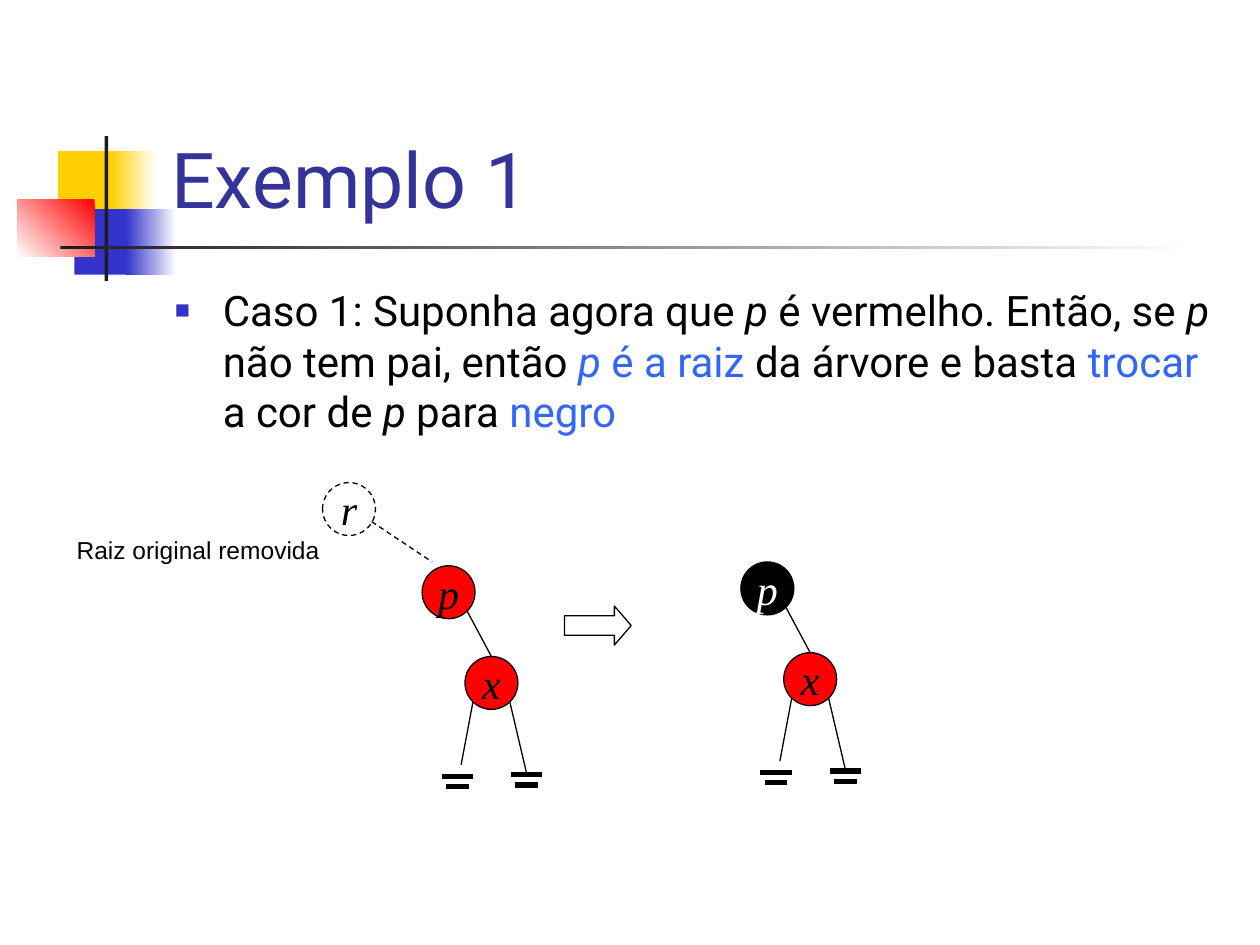
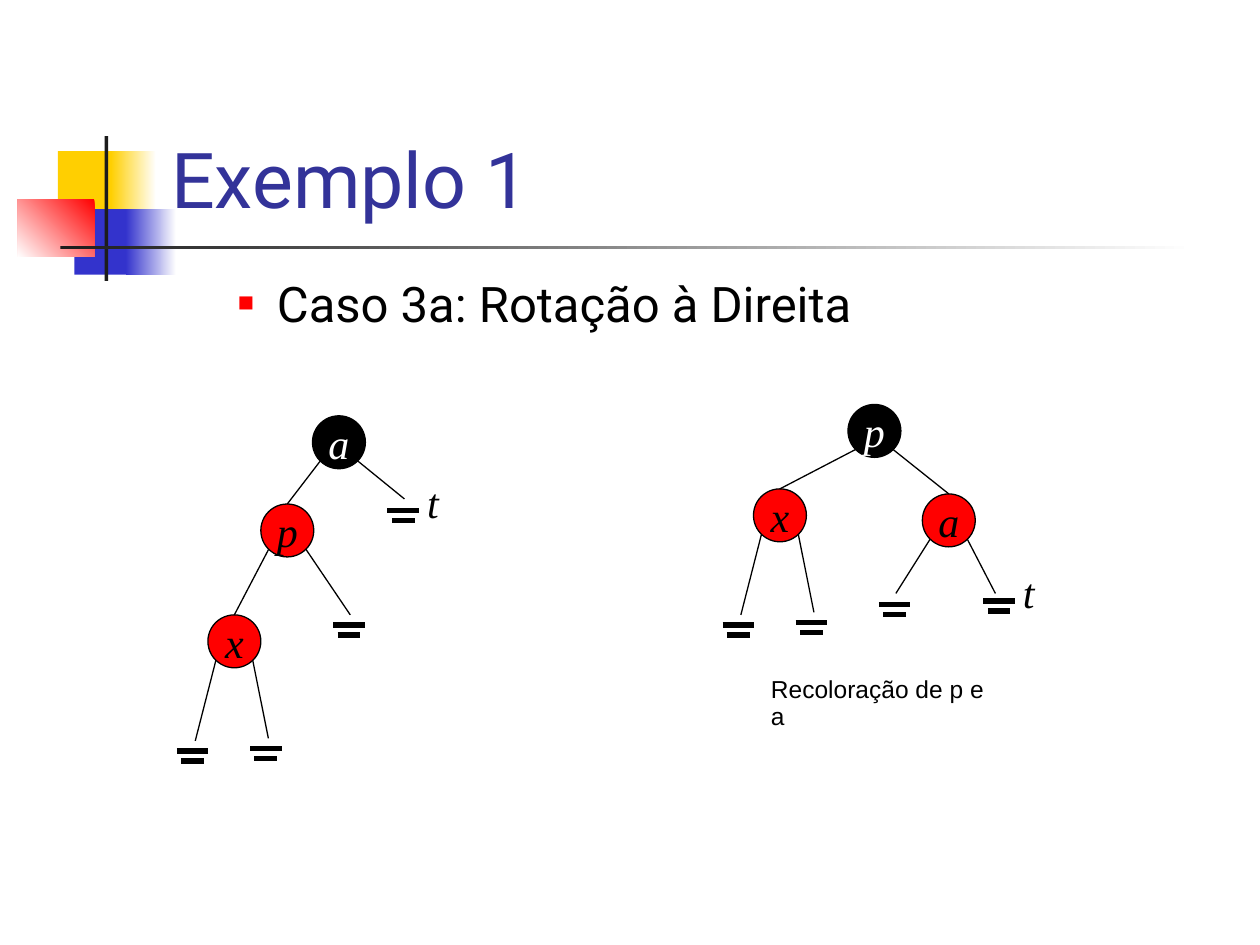
from dataclasses import dataclass

from lxml import etree
from pptx import Presentation
from pptx.dml.color import RGBColor
from pptx.enum.dml import MSO_LINE
from pptx.enum.shapes import MSO_CONNECTOR, MSO_SHAPE
from pptx.enum.text import MSO_ANCHOR as ANCHOR, PP_ALIGN as ALIGN
from pptx.oxml.ns import qn
from pptx.util import Inches, Pt

COLORS = {
    "black": "000000", "white": "FFFFFF", "ink": "1C1C1C", "yellow": "FFCF01",
    "blue": "3333CC", "red": "FF0000", "title": "333399", "accent": "3366FF",
}
NODE_SIZE = 0.42
EDGE_OFFSET = 0.145
NODE_FONT = dict(font="Times New Roman", size=24, italic=True, align=ALIGN.CENTER, wrap=False)
LABEL_FONT = dict(font="Arial", size=14, wrap=False, line_spacing=0.93)


@dataclass
class Leaf:
    x: float
    y: float
    dx: float = -0.01
    dy: float = 0.08
    tag: str = ""


@dataclass
class Node:
    label: str
    fill: str
    x: float
    y: float
    children: tuple = ()


def rgb(name):
    return RGBColor.from_string(COLORS[name])


def write_text(tf, runs, font="Roboto", size=24, color="black", italic=False,
               align=ALIGN.LEFT, anchor=ANCHOR.TOP, wrap=True,
               line_spacing=None, space_before=None):
    tf.word_wrap = wrap
    tf.vertical_anchor = anchor
    p = tf.paragraphs[0]
    p.alignment = align
    if line_spacing:
        p.line_spacing = line_spacing
    if space_before:
        p.space_before = Pt(space_before)
    for text, style in [(runs, {})] if isinstance(runs, str) else runs:
        r = p.add_run()
        r.text = text
        r.font.name = font
        r.font.size = Pt(size)
        r.font.italic = style.get("italic", italic)
        r.font.color.rgb = rgb(style.get("color", color))
    return p


def add_text(s, box, runs, **fmt):
    tb = s.shapes.add_textbox(*map(Inches, box))
    return write_text(tb.text_frame, runs, **fmt)


def add_bullet(p, color, size, indent, hang):
    pPr = p._p.get_or_add_pPr()
    pPr.set("marL", str(Inches(indent)))
    pPr.set("indent", str(-Inches(hang)))
    clr = etree.SubElement(pPr, qn("a:buClr"))
    etree.SubElement(clr, qn("a:srgbClr"), val=COLORS[color])
    etree.SubElement(pPr, qn("a:buSzPct"), val=str(size * 1000))
    etree.SubElement(pPr, qn("a:buFont"), typeface="Arial")
    etree.SubElement(pPr, qn("a:buChar"), char="■")


def add_shape(s, kind, box, fill, line=None):
    sp = s.shapes.add_shape(kind, *map(Inches, box))
    sp.shadow.inherit = False
    sp.fill.solid()
    sp.fill.fore_color.rgb = rgb(fill)
    if line:
        sp.line.color.rgb = rgb(line)
        sp.line.width = Pt(0.75)
    else:
        sp.line.fill.background()
    return sp


def add_fade(s, box, color, angle=0):
    sp = add_shape(s, MSO_SHAPE.RECTANGLE, box, color)
    sp.fill.gradient()
    sp.fill.gradient_angle = angle
    for stop, name in zip(sp.fill.gradient_stops, (color, "white")):
        stop.color.rgb = rgb(name)


def add_line(s, x1, y1, x2, y2, width=0.75, dashed=False):
    cn = s.shapes.add_connector(MSO_CONNECTOR.STRAIGHT, *map(Inches, (x1, y1, x2, y2)))
    cn.line.color.rgb = rgb("black")
    cn.line.width = Pt(width)
    if dashed:
        cn.line.dash_style = MSO_LINE.DASH
    etree.SubElement(cn._element.spPr, qn("a:effectLst"))


def add_node(s, cx, cy, label, fill, dashed=False):
    half = NODE_SIZE / 2
    sp = add_shape(s, MSO_SHAPE.OVAL, (cx - half, cy - half, NODE_SIZE, NODE_SIZE), fill, "black")
    if dashed:
        sp.line.dash_style = MSO_LINE.DASH
    color = "white" if fill == "black" else "black"
    write_text(sp.text_frame, label, color=color, anchor=ANCHOR.MIDDLE, **NODE_FONT)


def add_leaf(s, cx, cy, tag):
    for drop, width in ((0, 0.25), (0.08, 0.18)):
        add_line(s, cx - width / 2, cy + drop, cx + width / 2, cy + drop, width=3)
    if tag:
        add_text(s, (cx + 0.09, cy - 0.32, 0.29, 0.5), tag, **NODE_FONT)


def draw_tree(s, left, top, node):
    cx, cy = left + node.x, top + node.y
    for child in node.children:
        side = EDGE_OFFSET if child.x > 0 else -EDGE_OFFSET
        end_x, end_y = cx + child.x, cy + child.y
        if isinstance(child, Leaf):
            add_leaf(s, end_x + child.dx, end_y + child.dy, child.tag)
        else:
            draw_tree(s, cx, cy, child)
            end_y -= NODE_SIZE / 2
        add_line(s, cx + side, cy + EDGE_OFFSET, end_x, end_y)
    add_node(s, cx, cy, node.label, node.fill)


def draw_ornament(s, left, top):
    def at(x, y, w, h):
        return left + x, top + y, w, h

    rect = MSO_SHAPE.RECTANGLE
    add_shape(s, rect, at(0.32, 0.12, 0.48, 0.52), "yellow")
    add_fade(s, at(0.74, 0.12, 0.36, 0.52), "yellow")
    add_shape(s, rect, at(0.45, 0.58, 0.46, 0.52), "blue")
    add_fade(s, at(0.86, 0.58, 0.4, 0.52), "blue")
    add_fade(s, at(0, 0.5, 0.61, 0.46), "red", angle=225)
    add_shape(s, rect, at(0.69, 0, 0.03, 1.15), "ink")
    add_fade(s, at(0.34, 0.87, 9, 0.03), "ink")


def add_slide(prs, title):
    s = prs.slides.add_slide(prs.slide_layouts[6])
    draw_ornament(s, 0.14, 1.08)
    add_text(s, (1.26, 0.23, 8.52, 1.6), title, size=44, color="title", anchor=ANCHOR.BOTTOM)
    return s


def build_recolor_slide(prs):
    s = add_slide(prs, "Exemplo 1")
    italic, accent = {"italic": True}, {"color": "accent"}
    p = add_text(s, (1.29, 2.21, 8.5, 1.5), [
        ("Caso 1: Suponha agora que ", {}), ("p", italic),
        (" é vermelho. Então, se ", {}), ("p", italic),
        (" não tem pai, então ", {}), ("p ", {**italic, **accent}),
        ("é a raiz", accent), (" da árvore e basta ", {}), ("trocar", accent),
        (" a cor de ", {}), ("p ", italic), ("para ", {}), ("negro", accent),
    ], space_before=7)
    add_bullet(p, "blue", 60, 0.38, 0.38)

    x = Node("x", "red", 0.34, 0.72, (Leaf(-0.24, 0.65, -0.03, 0.09), Leaf(0.28, 0.72, 0, 0.01)))
    for left, top, fill in ((3.35, 4.49, "red"), (5.88, 4.46, "black")):
        draw_tree(s, left, top, Node("p", fill, 0.21, 0.21, (x,)))

    arrow = add_shape(s, MSO_SHAPE.RIGHT_ARROW, (4.48, 4.81, 0.53, 0.31), "white", "black")
    arrow.adjustments[1] = 0.43
    add_node(s, 2.77, 4.04, "r", "white", dashed=True)
    add_line(s, 2.95, 4.14, 3.43, 4.46, dashed=True)
    add_text(s, (0.51, 4.22, 2.13, 0.32), "Raiz original removida", **LABEL_FONT)


def build_rotation_slide(prs):
    s = add_slide(prs, "Exemplo 1")
    p = add_text(s, (1.29, 2.21, 8.5, 0.51), "Caso 3a: Rotação à Direita",
                 size=28, line_spacing=0.8, space_before=5)
    add_bullet(p, "red", 55, 0.81, 0.31)

    x_leaves = (Leaf(-0.31, 0.79, -0.02), Leaf(0.27, 0.77, -0.02))
    before = Node("a", "black", 1.29, 0.21, (
        Node("p", "red", -0.41, 0.7, (
            Node("x", "red", -0.42, 0.88, x_leaves),
            Leaf(0.5, 0.67))),
        Leaf(0.52, 0.45, dy=0.09, tag="t")))
    after = Node("p", "black", 1.21, 0.21, (
        Node("x", "red", -0.75, 0.67, x_leaves),
        Node("a", "red", 0.59, 0.71, (
            Leaf(-0.42, 0.58, dy=0.09),
            Leaf(0.37, 0.58, 0.03, 0.06, "t")))))
    draw_tree(s, 1.4, 3.3, before)
    draw_tree(s, 5.73, 3.21, after)
    add_text(s, (6.02, 5.32, 2.05, 0.32), "Recoloração de p e a", **LABEL_FONT)


def main():
    prs = Presentation()
    prs.slide_width, prs.slide_height = Inches(10), Inches(7.5)
    build_recolor_slide(prs)
    build_rotation_slide(prs)
    prs.save("out.pptx")


if __name__ == "__main__":
    main()
